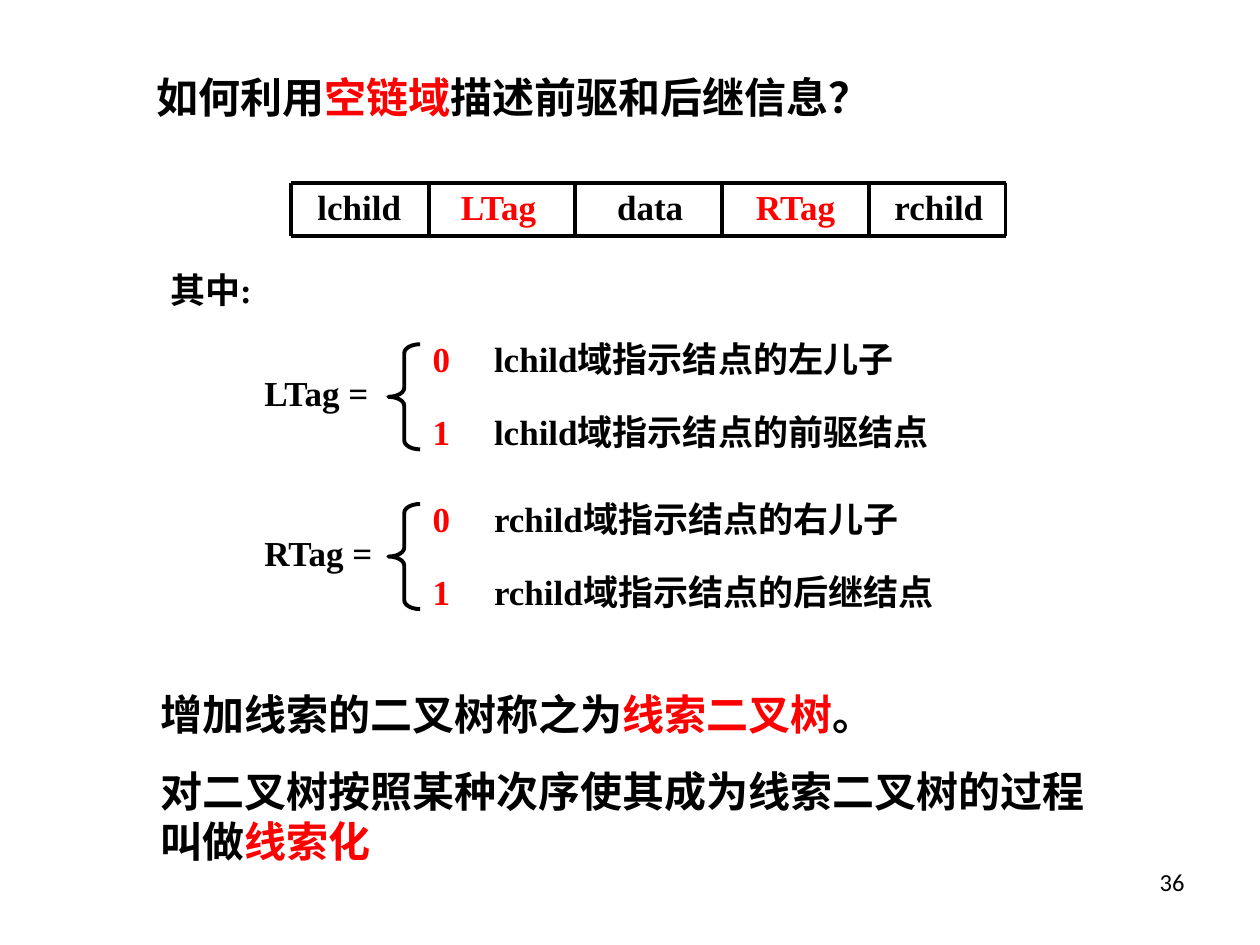
"""Build the slide that explains the tag fields of a threaded binary tree."""
from dataclasses import dataclass

from lxml import etree
from pptx import Presentation
from pptx.dml.color import RGBColor
from pptx.enum.shapes import MSO_CONNECTOR, MSO_SHAPE
from pptx.enum.text import PP_ALIGN
from pptx.oxml.ns import qn
from pptx.util import Cm, Pt

STRAIGHT = MSO_CONNECTOR.STRAIGHT
LEFT_BRACE = MSO_SHAPE.LEFT_BRACE
LEFT, RIGHT = PP_ALIGN.LEFT, PP_ALIGN.RIGHT
COLORS = {"ink": "000000", "accent": "FF0000", "paper": "FFFFFF"}
SERIF, SANS = "Times New Roman", "Calibri"
LINE_WIDTH = Pt(2.25)
ROW_TOP, ROW_BOTTOM = 3.69, 4.75
ROW_LEFT, ROW_RIGHT = 5.87, 20.27
INNER_LEFT, INNER_STEP = 8.64, 2.96


@dataclass
class Span:
    """A stretch of text in one colour."""
    text: str
    color: str = "ink"


@dataclass
class Field:
    """A named field of the node record."""
    left: float
    name: str
    color: str = "ink"


@dataclass
class Tag:
    """A tag with the meanings of its values 0 and 1."""
    top: float
    name: str
    meanings: tuple[str, str]


FIELDS = [
    Field(6.15, "lchild"),
    Field(9.04, "LTag", "accent"),
    Field(12.19, "data"),
    Field(14.99, "RTag", "accent"),
    Field(17.78, "rchild"),
]
TAGS = [
    Tag(6.68, "LTag", ("lchild域指示结点的左儿子", "lchild域指示结点的前驱结点")),
    Tag(9.9, "RTag", ("rchild域指示结点的右儿子", "rchild域指示结点的后继结点")),
]


def color_of(name: str) -> RGBColor:
    """Return the named colour."""
    return RGBColor.from_string(COLORS[name])


def add_text(page, paragraphs: list[list[Span]], *, left: float, top: float,
             width: float, height: float = 1.12, size: float = 20,
             font: str = SERIF, bold: bool = True, align=LEFT,
             gap: float = 0, tab: float = 0) -> None:
    """Add a text box with one paragraph for each list of spans."""
    box = page.shapes.add_textbox(Cm(left), Cm(top), Cm(width), Cm(height))
    frame = box.text_frame
    frame.word_wrap = True
    for index, spans in enumerate(paragraphs):
        para = frame.paragraphs[0] if index == 0 else frame.add_paragraph()
        para.alignment = align
        if index:
            para.space_before = Pt(gap)
        if tab:
            properties = para._p.get_or_add_pPr()
            stops = etree.SubElement(properties, qn("a:tabLst"))
            etree.SubElement(stops, qn("a:tab"), pos=str(Cm(tab)), algn="l")
        for span in spans:
            run = para.add_run()
            run.text = span.text
            run.font.name = font
            run.font.size = Pt(size)
            run.font.bold = bold
            run.font.color.rgb = color_of(span.color)


def add_line(page, left: float, top: float, right: float, bottom: float) -> None:
    """Add a straight line without a shadow."""
    line = page.shapes.add_connector(
        STRAIGHT, Cm(left), Cm(top), Cm(right), Cm(bottom))
    line.line.color.rgb = color_of("ink")
    line.line.width = LINE_WIDTH
    etree.SubElement(line._element.spPr, qn("a:effectLst"))


def add_record(page) -> None:
    """Draw the node record with its five fields."""
    for top in (ROW_TOP, ROW_BOTTOM):
        add_line(page, ROW_LEFT, top, ROW_RIGHT, top)
    dividers = [INNER_LEFT + INNER_STEP * index for index in range(len(FIELDS) - 1)]
    for left in (ROW_LEFT, *dividers, ROW_RIGHT):
        add_line(page, left, ROW_TOP, left, ROW_BOTTOM)
    for field in FIELDS:
        add_text(page, [[Span(field.name, field.color)]],
                 left=field.left, top=3.61, width=3.81)


def add_tag(page, tag: Tag) -> None:
    """Draw a tag, its brace and the meaning of each value."""
    add_text(page, [[Span(f"{tag.name} =")]], left=5.08, top=tag.top + 0.68, width=3.6)
    for value, meaning in enumerate(tag.meanings):
        add_text(page, [[Span(str(value), "accent"), Span(f"\t{meaning}")]],
                 left=8.47, top=tag.top + 1.48 * value, width=12.9, tab=1.24)
    brace = page.shapes.add_shape(
        LEFT_BRACE, Cm(7.83), Cm(tag.top + 0.26), Cm(0.64), Cm(2.12))
    brace.adjustments[0] = 0.28
    brace.shadow.inherit = False
    brace.fill.background()
    brace.line.color.rgb = color_of("ink")
    brace.line.width = LINE_WIDTH


def main() -> None:
    """Build and save the deck."""
    deck = Presentation()
    deck.slide_width, deck.slide_height = Cm(25.4), Cm(19.05)
    page = deck.slides.add_slide(deck.slide_layouts[6])
    page.background.fill.solid()
    page.background.fill.fore_color.rgb = color_of("paper")

    add_text(page, [[Span("36")]], left=18.2, top=17.36, width=5.93, height=1.32,
             size=14, font=SANS, bold=False, align=RIGHT)
    add_text(page, [[Span("如何利用"), Span("空链域", "accent"),
                     Span("描述前驱和后继信息？")]],
             left=2.9, top=1.32, width=20.32, height=1.27, size=24)
    add_record(page)
    add_text(page, [[Span("其中:")]], left=3.18, top=5.29, width=4.65)
    for tag in TAGS:
        add_tag(page, tag)
    add_text(page, [
        [Span("增加线索的二叉树称之为"), Span("线索二叉树", "accent"), Span("。")],
        [Span("对二叉树按照某种次序使其成为线索二叉树的过程叫做"),
         Span("线索化", "accent")],
    ], left=2.98, top=13.76, width=19.26, height=3.84, size=24, gap=15)
    deck.save("out.pptx")


if __name__ == "__main__":
    main()
